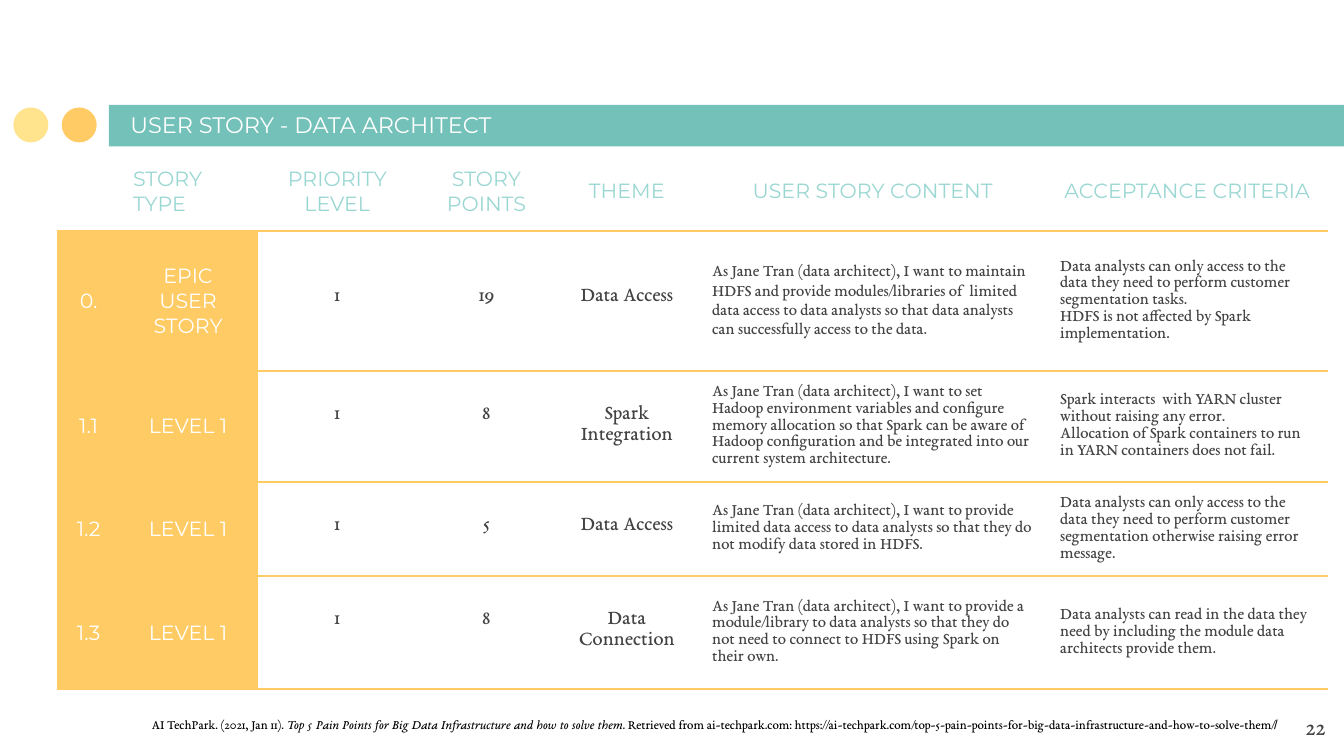
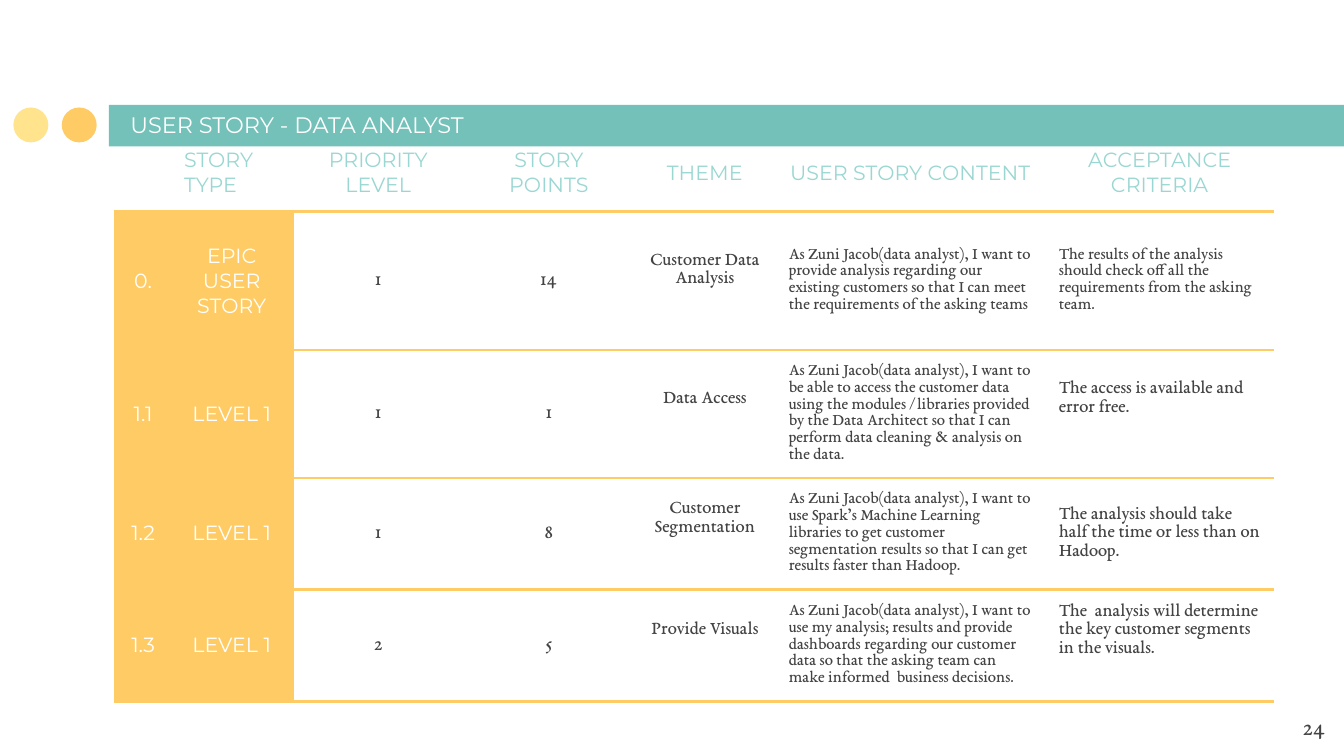
from lxml.etree import SubElement
from pptx import Presentation
from pptx.dml.color import RGBColor
from pptx.enum.shapes import MSO_SHAPE
from pptx.enum.text import MSO_ANCHOR, MSO_AUTO_SIZE, PP_ALIGN
from pptx.oxml.ns import qn
from pptx.util import Inches, Pt


class Theme:
    teal = RGBColor.from_string("74C1B9")
    pale_teal = RGBColor.from_string("9AD7D2")
    amber = RGBColor.from_string("FFCB64")
    pale_amber = RGBColor.from_string("FFE48D")
    white = RGBColor.from_string("FFFFFF")
    ink = RGBColor.from_string("434343")
    black = RGBColor.from_string("000000")
    sans, serif = "Montserrat", "EB Garamond"
    title, label, theme, story, number, citation = (
        Pt(12), Pt(11), Pt(10), Pt(9), Pt(13), Pt(7))
    rule = Pt(1.5)


def style(p, font, size, color, align=PP_ALIGN.LEFT):
    p.font.name, p.font.size, p.font.color.rgb = font, size, color
    p.alignment = align


def set_borders(cell, sides):
    """Draw amber rules on the given sides only; call before setting the fill."""
    tcPr = cell._tc.get_or_add_tcPr()
    for side in "LRTB":
        ln = SubElement(tcPr, qn(f"a:ln{side}"), w=str(Theme.rule))
        if side in sides:
            fill = SubElement(ln, qn("a:solidFill"))
            SubElement(fill, qn("a:srgbClr"), val=str(Theme.amber))
        else:
            SubElement(ln, qn("a:noFill"))


HEADER = ["", "STORY TYPE", "PRIORITY LEVEL", "STORY POINTS", "THEME",
          "USER STORY CONTENT", "ACCEPTANCE CRITERIA"]
TYPES = [("0.", "EPIC USER STORY"), ("1.1", "LEVEL 1"), ("1.2", "LEVEL 1"),
         ("1.3", "LEVEL 1")]
THEME_COL, STORY_COL, CRITERIA_COL = 4, 5, 6

# top_insets: cells anchored to the top; bottom_insets: cells lifted above the middle
SLIDES = [
    {
        "title": "USER STORY - DATA ARCHITECT",
        "number": "22",
        "left": 0.43, "top": 1.13,
        "cols": [0.46, 1.02, 1.2, 1.02, 1.07, 2.59, 2.09],
        "rows": [0.59, 1.04, 0.82, 0.7, 0.84],
        "stories": [
            ("1", "19", "Data Access",
             "As Jane Tran (data architect), I want to maintain HDFS and provide "
             "modules/libraries of  limited data access to data analysts so that "
             "data analysts can successfully access to the data.",
             "Data analysts can only access to the data they need to perform "
             "customer segmentation tasks.\n"
             "HDFS is not affected by Spark implementation."),
            ("1", "8", "Spark Integration",
             "As Jane Tran (data architect), I want to set Hadoop environment "
             "variables and configure memory allocation so that Spark can be aware "
             "of Hadoop configuration and be integrated into our current system "
             "architecture.",
             "Spark interacts  with YARN cluster without raising any error.\n"
             "Allocation of Spark containers to run in YARN containers does not fail."),
            ("1", "5", "Data Access",
             "As Jane Tran (data architect), I want to provide limited data access "
             "to data analysts so that they do not modify data stored in HDFS.",
             "Data analysts can only access to the data they need to perform "
             "customer segmentation otherwise raising error message."),
            ("1", "8", "Data Connection",
             "As Jane Tran (data architect), I want to provide a module/library to "
             "data analysts so that they do not need to connect to HDFS using "
             "Spark on their own.",
             "Data analysts can read in the data they need by including the module "
             "data architects provide them."),
        ],
        "sizes": {},
        "top_insets": {(r, c): 0.41 if r == 1 else 0.25
                       for r in range(1, 5) for c in range(2, 5)},
        "bottom_insets": {},
        "line_spacing": {(1, STORY_COL): 1.15},
        "citation": [
            ("AI TechPark. (2021, Jan 11). ", Theme.serif, False),
            ("Top 5 Pain Points for Big Data Infrastructure and how to solve them",
             Theme.serif, True),
            (". Retrieved from ai-techpark.com: https://ai-techpark.com/"
             "top-5-pain-points-for-big-data-infrastructure-and-how-to-solve-them/",
             Theme.serif, False),
            ("/", "Arial", False),
        ],
    },
    {
        "title": "USER STORY - DATA ANALYST",
        "number": "24",
        "left": 0.86, "top": 1,
        "cols": [0.41, 0.91, 1.27, 1.27, 1.05, 2.01, 1.7],
        "rows": [0.57, 1.03, 0.95, 0.83, 0.82],
        "stories": [
            ("1", "14", "Customer Data Analysis",
             "As Zuni Jacob(data analyst), I want to provide analysis regarding our "
             "existing customers so that I can meet the requirements of the asking "
             "teams",
             "The results of the analysis should check off all the requirements "
             "from the asking team."),
            ("1", "1", "Data Access",
             "As Zuni Jacob(data analyst), I want to be able to access the customer "
             "data using the modules / libraries provided by the Data Architect so "
             "that I can perform data cleaning & analysis on the data.",
             "The access is available and error free."),
            ("1", "8", "Customer Segmentation",
             "As Zuni Jacob(data analyst), I want to use Spark’s Machine Learning "
             "libraries to get customer segmentation results so that I can get "
             "results faster than Hadoop.",
             "The analysis should take half the time or less than on Hadoop."),
            ("2", "5", "Provide Visuals",
             "As Zuni Jacob(data analyst), I want to use my analysis; results and "
             "provide dashboards regarding our customer data so that the asking "
             "team can make informed  business decisions.",
             "The  analysis will determine the key customer segments  in the "
             "visuals."),
        ],
        "sizes": {(r, c): Theme.theme for r in range(1, 5)
                  for c in (THEME_COL, CRITERIA_COL) if (r, c) != (1, CRITERIA_COL)},
        "top_insets": {(1, THEME_COL): 0.3},
        "bottom_insets": {(r, c): 0.32 for r, c in [
            (2, THEME_COL), (3, THEME_COL), (4, THEME_COL),
            (2, CRITERIA_COL), (4, CRITERIA_COL)]},
        "line_spacing": {},
        "citation": [],
    },
]

BAND = [
    (MSO_SHAPE.RECTANGLE, 0.81, 0.78, 9.19, 0.31, Theme.teal),
    (MSO_SHAPE.OVAL, 0.46, 0.8, 0.26, 0.26, Theme.amber),
    (MSO_SHAPE.OVAL, 0.1, 0.8, 0.26, 0.26, Theme.pale_amber),
]

prs = Presentation()
prs.slide_width = Inches(10)
prs.slide_height = prs.slide_width * 9 // 16

for data in SLIDES:
    s = prs.slides.add_slide(prs.slide_layouts[0])
    subtitle = s.placeholders[1]._element
    subtitle.getparent().remove(subtitle)

    for kind, x, y, w, h, color in BAND:
        sp = s.shapes.add_shape(kind, Inches(x), Inches(y), Inches(w), Inches(h))
        sp.shadow.inherit = False
        sp.fill.solid()
        sp.fill.fore_color.rgb = color
        sp.line.fill.background()

    # The title sits in front of the band
    title = s.shapes.title
    s.shapes._spTree.append(title._element)
    title.left, title.top = Inches(0.87), Inches(0.79)
    title.width, title.height = Inches(5.48), Inches(0.34)
    tf = title.text_frame
    tf.text = data["title"]
    tf.auto_size = MSO_AUTO_SIZE.NONE
    tf.vertical_anchor = MSO_ANCHOR.BOTTOM
    tf.margin_left = tf.margin_right = tf.margin_top = tf.margin_bottom = Inches(0.1)
    style(tf.paragraphs[0], Theme.sans, Theme.title, Theme.white)

    rows = [HEADER] + [kind + story for kind, story in zip(TYPES, data["stories"])]
    table = s.shapes.add_table(
        len(rows), len(HEADER), Inches(data["left"]), Inches(data["top"]),
        Inches(sum(data["cols"])), Inches(sum(data["rows"]))).table
    table.first_row = table.horz_banding = False
    for col, width in zip(table.columns, data["cols"]):
        col.width = Inches(width)
    for row, height in zip(table.rows, data["rows"]):
        row.height = Inches(height)

    for r, texts in enumerate(rows):
        for c, text in enumerate(texts):
            cell = table.cell(r, c)
            key = (r, c)
            cell.text = text
            cell.margin_left = cell.margin_right = Inches(0.1)
            cell.margin_top = Inches(data["top_insets"].get(key, 0.1))
            cell.margin_bottom = Inches(data["bottom_insets"].get(key, 0.1))
            cell.vertical_anchor = (MSO_ANCHOR.TOP if key in data["top_insets"]
                                    else MSO_ANCHOR.MIDDLE)
            if r == 0:
                set_borders(cell, "B")
                font, size, color = Theme.sans, Theme.label, Theme.pale_teal
            elif c < 2:
                set_borders(cell, "LRTB")
                font, size, color = Theme.sans, Theme.label, Theme.white
            else:
                set_borders(cell, "LTB" if c == 2 else "TB")
                size = Theme.story if c >= STORY_COL else Theme.label
                size = data["sizes"].get(key, size)
                font, color = Theme.serif, Theme.ink
            if r and c < 2:
                cell.fill.solid()
                cell.fill.fore_color.rgb = Theme.amber
            else:
                cell.fill.background()
            left_aligned = key == (0, 1) or (r and c >= STORY_COL)
            for p in cell.text_frame.paragraphs:
                style(p, font, size, color,
                      PP_ALIGN.LEFT if left_aligned else PP_ALIGN.CENTER)
                if key in data["line_spacing"]:
                    p.line_spacing = data["line_spacing"][key]

    tf = s.shapes.add_textbox(Inches(9.36), Inches(5.19), Inches(0.6),
                              Inches(0.43)).text_frame
    tf.word_wrap = True
    tf.margin_left = tf.margin_right = tf.margin_top = tf.margin_bottom = Inches(0.1)
    tf.text = data["number"]
    style(tf.paragraphs[0], Theme.serif, Theme.number, Theme.ink, PP_ALIGN.RIGHT)

    if data["citation"]:
        tf = s.shapes.add_textbox(Inches(1.03), Inches(5.27), Inches(8.9),
                                  Inches(0.34)).text_frame
        tf.word_wrap = True
        tf.margin_left = tf.margin_right = tf.margin_top = tf.margin_bottom = Inches(0.1)
        p = tf.paragraphs[0]
        style(p, Theme.serif, Theme.citation, Theme.black)
        for text, font, italic in data["citation"]:
            run = p.add_run()
            run.text = text
            run.font.name, run.font.italic = font, italic

prs.save("out.pptx")
